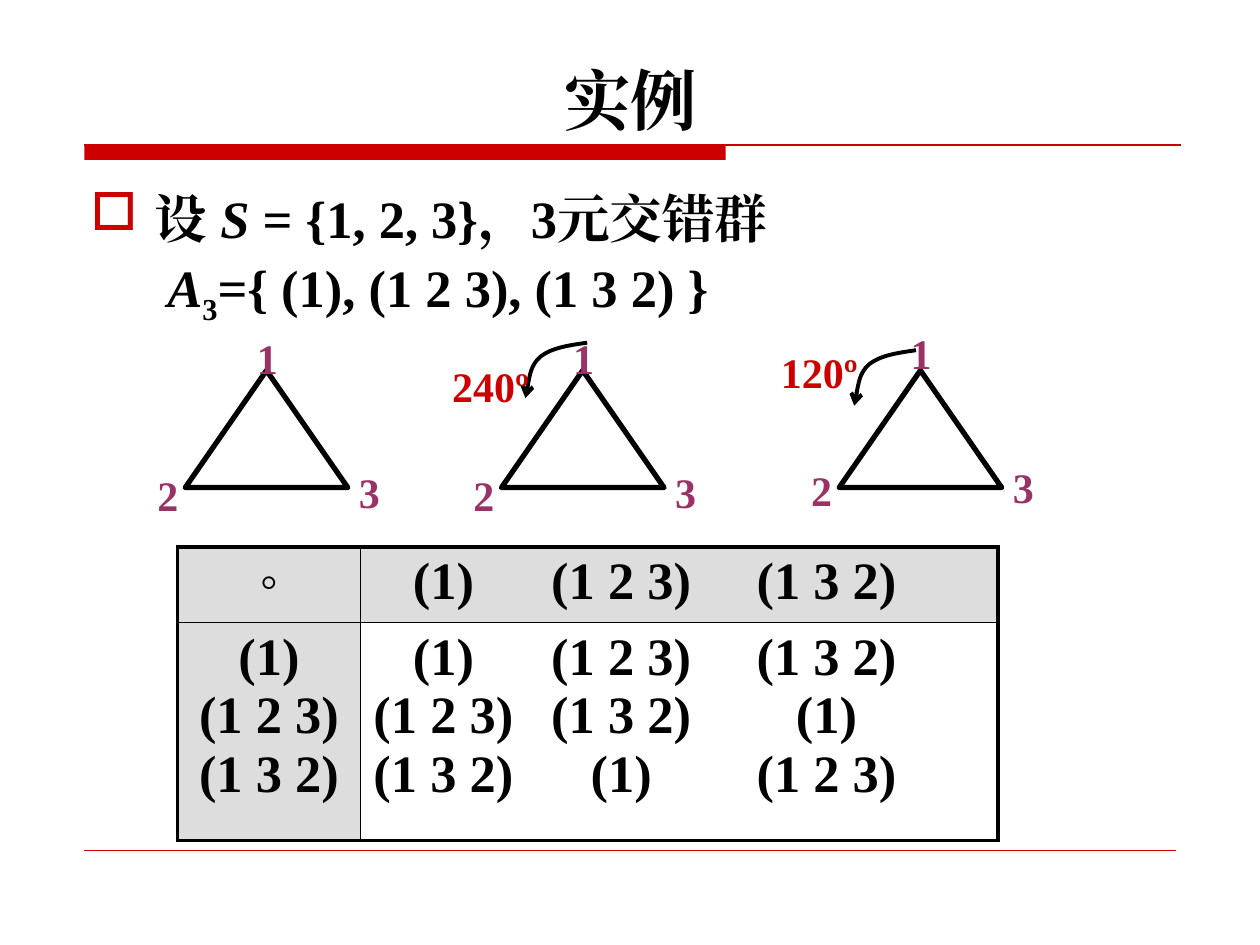
from dataclasses import dataclass, field

from lxml import etree
from pptx import Presentation
from pptx import util as u
from pptx.dml.color import RGBColor
from pptx.enum import shapes, text
from pptx.oxml import ns

I = u.Inches


@dataclass
class Theme:
    font: str = "Times New Roman"
    black: str = "000000"
    red: str = "CC0000"
    plum: str = "993366"
    gray: str = "DDDDDD"
    title: int = 38
    body: int = 30
    label: int = 24
    frame: dict = field(default_factory=lambda: {
        "word_wrap": True, "margin_left": I(0.1), "margin_right": I(0.1),
        "margin_top": I(0.05), "margin_bottom": I(0.05)})


def assign(target, values):
    for name, value in values.items():
        setattr(target, name, value)


def add_xml(parent, tag, **attrs):
    return etree.SubElement(parent, ns.qn(tag), attrs)


class SlideBuilder:
    def __init__(self, slide, theme):
        self.slide = slide
        self.theme = theme

    def stroke(self, shape, color, width):
        shape.line.color.rgb = RGBColor.from_string(color)
        shape.line.width = u.Pt(width)

    def styled_run(self, paragraph, content, size, color=None, italic=False, baseline=0):
        run = paragraph.add_run()
        run.text = content
        assign(run.font, {"size": u.Pt(size), "bold": True, "italic": italic,
                          "name": self.theme.font})
        run.font.color.rgb = RGBColor.from_string(color or self.theme.black)
        props = run._r.get_or_add_rPr()
        add_xml(props, "a:ea", typeface=self.theme.font)
        if baseline:
            props.set("baseline", str(baseline * 1000))

    def textbox(self, parent, left, top, width, height, **frame_values):
        frame = parent.add_textbox(I(left), I(top), I(width), I(height)).text_frame
        assign(frame, {**self.theme.frame, **frame_values})
        return frame

    def title(self, content):
        frame = self.textbox(self.slide.shapes, 0.63, 0.33, 8.75, 0.82,
                             vertical_anchor=text.MSO_ANCHOR.BOTTOM)
        frame.paragraphs[0].alignment = text.PP_ALIGN.CENTER
        self.styled_run(frame.paragraphs[0], content, self.theme.title)

    def rule(self, left, top, right, width):
        line = self.slide.shapes.add_connector(
            shapes.MSO_CONNECTOR.STRAIGHT, I(left), I(top), I(right), I(top))
        self.stroke(line, self.theme.red, width)
        add_xml(line._element.spPr, "a:effectLst")

    def band(self, left, top, width, height):
        bar = self.slide.shapes.add_shape(
            shapes.MSO_SHAPE.RECTANGLE, I(left), I(top), I(width), I(height))
        bar.shadow.inherit = False
        bar.fill.solid()
        bar.fill.fore_color.rgb = RGBColor.from_string(self.theme.red)
        bar.line.fill.background()

    def body(self, statement, group_elements):
        frame = self.textbox(self.slide.shapes, 0.62, 1.43, 8.75, 1.2)
        first, second = frame.paragraphs[0], frame.add_paragraph()
        props = first._p.get_or_add_pPr()
        props.set("marL", str(I(0.51)))
        props.set("indent", str(-I(0.51)))
        add_xml(add_xml(props, "a:buClr"), "a:srgbClr", val=self.theme.red)
        add_xml(props, "a:buChar", char="□")
        second._p.get_or_add_pPr().set("marL", str(I(0.61)))
        second.space_before = u.Pt(3)
        for paragraph, runs in ((first, statement), (second, group_elements)):
            for content, values in runs:
                self.styled_run(paragraph, content, self.theme.body, **values)

    def label(self, parent, content, left, top, width, color):
        frame = self.textbox(parent, left, top, width, 0.5)
        self.styled_run(frame.paragraphs[0], content, self.theme.label, color)

    def rotation_arrow(self, parent, left, top):
        points = [(I(left + x), I(top + y)) for x, y in
                  ((0.35, 0.02), (0.21, 0.04), (0.12, 0.11),
                   (0.04, 0.18), (0.01, 0.38), (0, 0.44))]
        builder = parent.build_freeform(I(left + 0.49), I(top))
        builder.add_line_segments(points, close=False)
        arrow = builder.convert_to_shape()
        outline = arrow._element.spPr.find(".//" + ns.qn("a:path"))
        steps = outline.findall(ns.qn("a:lnTo"))
        for start in range(0, len(steps), 3):
            curve = add_xml(outline, "a:cubicBezTo")
            for step in steps[start:start + 3]:
                curve.append(step[0])
                outline.remove(step)
        arrow.shadow.inherit = False
        arrow.fill.background()
        self.stroke(arrow, self.theme.black, 2.25)
        add_xml(arrow.line._get_or_add_ln(), "a:tailEnd", type="arrow")

    def triangle(self, left, lift=0, angle=None, angle_at=None, arrow_at=None):
        parent = self.slide.shapes.add_group_shape().shapes
        outline = parent.add_shape(shapes.MSO_SHAPE.ISOSCELES_TRIANGLE,
                                   I(left), I(2.94), I(1.29), I(0.93))
        outline.shadow.inherit = False
        outline.fill.background()
        self.stroke(outline, self.theme.black, 3)
        if angle:
            self.rotation_arrow(parent, *arrow_at)
            self.label(parent, angle, *angle_at, 0.86, self.theme.red)
        for vertex, dx, top in (("1", 0.47, 2.59), ("2", -0.32, 3.68), ("3", 1.28, 3.65)):
            self.label(parent, vertex, left + dx, top - lift, 0.4, self.theme.plum)

    def borders(self, cell, widths):
        props = cell._tc.get_or_add_tcPr()
        for position, (side, width) in enumerate(widths.items()):
            line = etree.Element(ns.qn("a:ln" + side), w=str(u.Pt(width)))
            add_xml(add_xml(line, "a:solidFill"), "a:srgbClr", val=self.theme.black)
            props.insert(position, line)

    def product_table(self, cells, tab_stops):
        table = self.slide.shapes.add_table(2, 2, I(1.41), I(4.34), I(6.51), I(2.32)).table
        assign(table, {"first_row": False, "horz_banding": False})
        for column, width in zip(table.columns, (1.45, 5.06)):
            column.width = I(width)
        for row, height in zip(table.rows, (0.59, 1.73)):
            row.height = I(height)
        outer, inner = 2.25, 1
        for r, row in enumerate(cells):
            for c, lines in enumerate(row):
                cell = table.cell(r, c)
                if r and c:
                    cell.fill.background()
                else:
                    cell.fill.solid()
                    cell.fill.fore_color.rgb = RGBColor.from_string(self.theme.gray)
                self.borders(cell, {"L": inner if c else outer, "R": outer if c else inner,
                                    "T": inner if r else outer, "B": outer if r else inner})
                for index, entries in enumerate(lines):
                    frame = cell.text_frame
                    paragraph = frame.add_paragraph() if index else frame.paragraphs[0]
                    if c:
                        stops = add_xml(paragraph._p.get_or_add_pPr(), "a:tabLst")
                        for stop in tab_stops:
                            add_xml(stops, "a:tab", pos=str(I(stop)), algn="ctr")
                        content = "".join("\t" + entry for entry in entries)
                    else:
                        paragraph.alignment = text.PP_ALIGN.CENTER
                        content = entries
                    self.styled_run(paragraph, content, self.theme.body)


def main():
    deck = Presentation()
    assign(deck, {"slide_width": I(10), "slide_height": I(7.5)})
    page = SlideBuilder(deck.slides.add_slide(deck.slide_layouts[6]), Theme())

    page.band(0.67, 1.15, 5.09, 0.12)
    page.rule(0.67, 1.15, 9.37, 0.75)
    page.rule(0.67, 6.75, 9.33, 0.25)
    page.title("实例")
    page.body(
        [("设 ", {}), ("S ", {"italic": True}), ("= {1, 2, 3}，3元交错群", {})],
        [("A", {"italic": True}), ("3", {"baseline": -25}),
         ("={ (1), (1 2 3), (1 3 2) }", {})])

    e, a, b = elements = ("(1)", "(1 2 3)", "(1 3 2)")
    page.product_table(
        [[["◦"], [elements]],
         [elements, [(e, a, b), (a, b, e), (b, e, a)]]],
        tab_stops=(0.56, 1.97, 3.6))

    page.triangle(1.47)
    page.triangle(6.66, lift=0.04, angle="120º", angle_at=(6.1, 2.7), arrow_at=(6.78, 2.78))
    page.triangle(3.98, angle="240º", angle_at=(3.49, 2.81), arrow_at=(4.17, 2.72))
    deck.save("out.pptx")


if __name__ == "__main__":
    main()
